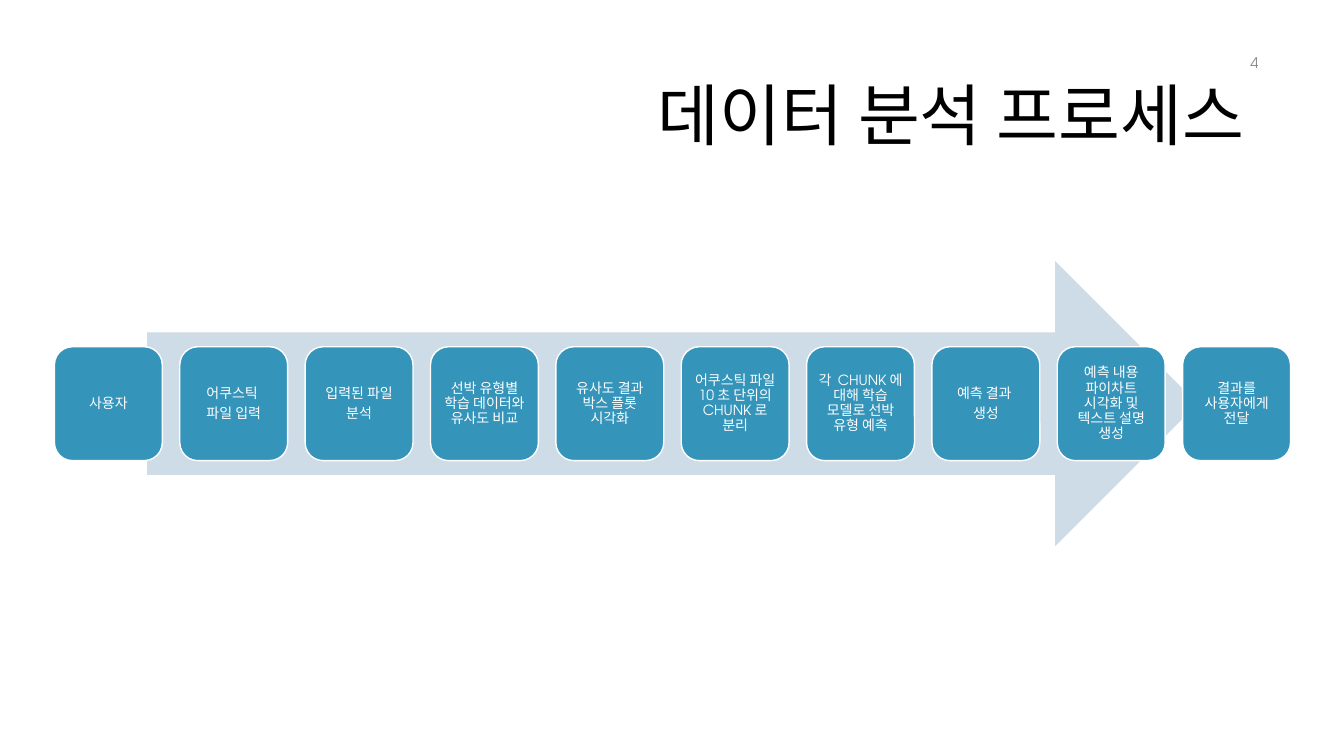
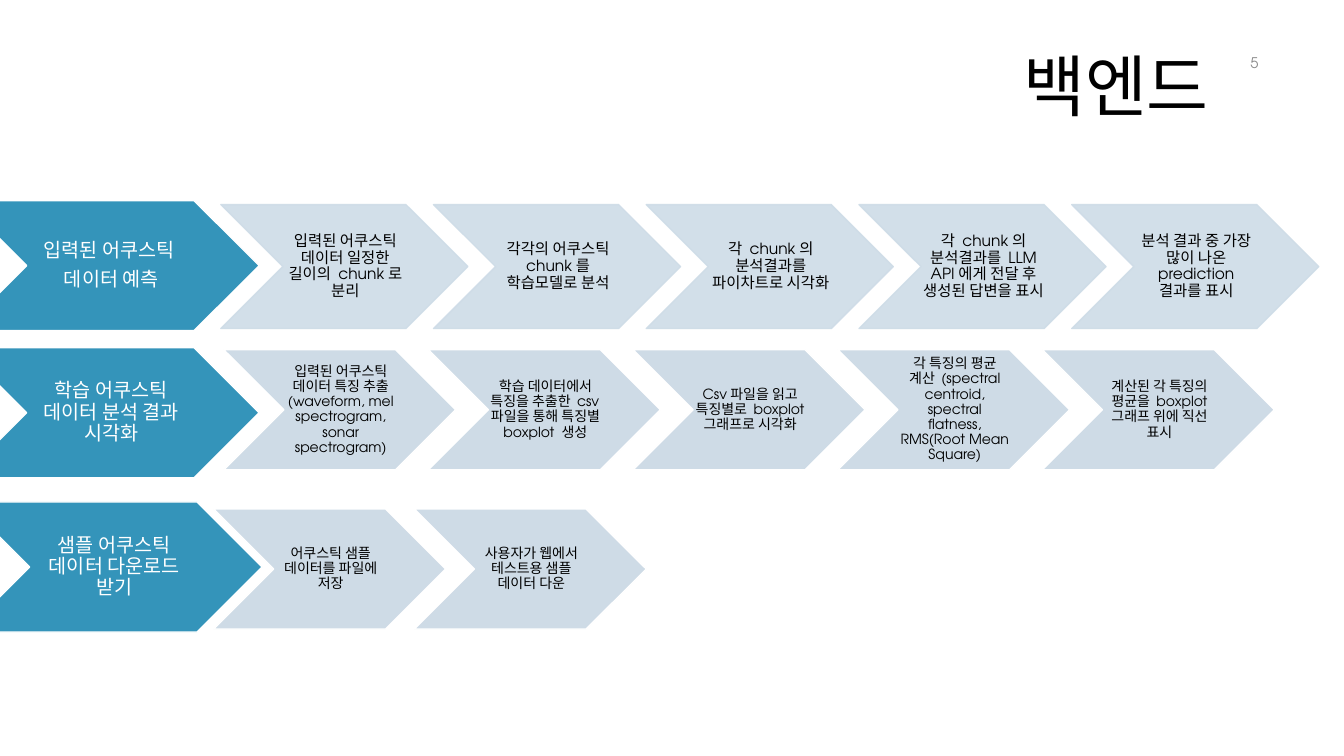
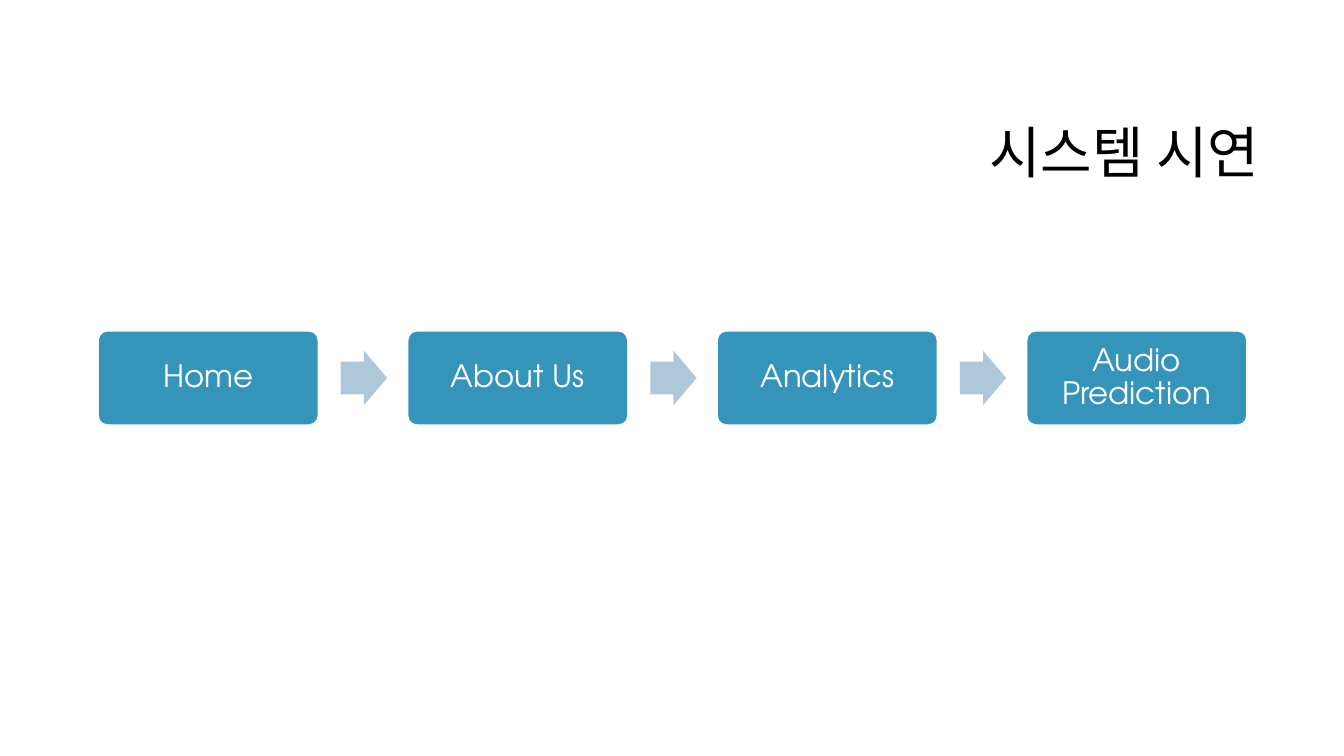
from dataclasses import dataclass

from lxml.etree import SubElement
from pptx import Presentation
from pptx.dml.color import RGBColor
from pptx.enum.shapes import MSO_SHAPE
from pptx.enum.text import MSO_ANCHOR, MSO_AUTO_SIZE, PP_ALIGN
from pptx.oxml.ns import qn
from pptx.util import Inches, Pt


@dataclass(frozen=True)
class Theme:
    font: str = "TeX Gyre Adventor"
    black: str = "000000"
    white: str = "FFFFFF"
    gray: str = "8C8C8C"
    blue: str = "3494BA"
    pale_blue: str = "CEDCE7"
    mist: str = "CEDBE6"
    arrow_blue: str = "AEC8D9"
    title_size: float = 48
    small_title_size: float = 40
    page_size: float = 22
    heading_size: float = 14
    detail_size: float = 11
    step_size: float = 10
    number_size: float = 10.5


class Deck:
    def __init__(self, theme):
        self.theme = theme
        self.presentation = Presentation()
        self.presentation.slide_width = Inches(13.33)
        self.presentation.slide_height = Inches(7.5)
        self.slide = None

    def set_text(self, frame, lines, size, color, align, line_spacing=0.9, gap=0):
        """Fill a text frame; gap is the space after, as a share of the type size."""
        frame.word_wrap = True
        frame.auto_size = MSO_AUTO_SIZE.NONE
        frame.vertical_anchor = MSO_ANCHOR.MIDDLE
        frame.text = "\n".join(lines)
        for paragraph in frame.paragraphs:
            paragraph.alignment = align
            paragraph.line_spacing = line_spacing
            paragraph.space_after = Pt(gap * size)
            paragraph.font.name = self.theme.font
            paragraph.font.size = Pt(size)
            paragraph.font.color.rgb = RGBColor.from_string(color)

    def new_slide(self, title, left=3.17, top=0.47, width=9.42, size=None):
        self.slide = self.presentation.slides.add_slide(self.presentation.slide_layouts[5])
        placeholder = self.slide.shapes.title
        placeholder.left, placeholder.top = Inches(left), Inches(top)
        placeholder.width, placeholder.height = Inches(width), Inches(1.41)
        self.set_text(placeholder.text_frame, [title], size or self.theme.title_size,
                      self.theme.black, PP_ALIGN.RIGHT)

    def page_number(self, number):
        box = self.slide.shapes.add_textbox(Inches(9.58), Inches(0.42), Inches(3), Inches(0.4))
        self.set_text(box.text_frame, [str(number)], self.theme.number_size,
                      self.theme.gray, PP_ALIGN.RIGHT, line_spacing=1)

    def shape(self, kind, left, top, width, height, fill, line=None, line_width=1,
              adjustments=(), alpha=None):
        shape = self.slide.shapes.add_shape(
            kind, Inches(left), Inches(top), Inches(width), Inches(height))
        shape.shadow.inherit = False
        for index, value in enumerate(adjustments):
            shape.adjustments[index] = value
        shape.fill.solid()
        shape.fill.fore_color.rgb = RGBColor.from_string(fill)
        if line:
            shape.line.color.rgb = RGBColor.from_string(line)
            shape.line.width = Pt(line_width)
        else:
            shape.line.fill.background()
        if alpha:
            for color in shape._element.spPr.iter(qn("a:srgbClr")):
                SubElement(color, qn("a:alpha"), val=str(alpha * 1000))
        return shape

    def label(self, shape, lines, size, color, margins):
        """Centre text in a shape; margins are left, top, right, bottom."""
        frame = shape.text_frame
        (frame.margin_left, frame.margin_top,
         frame.margin_right, frame.margin_bottom) = map(Inches, margins)
        self.set_text(frame, lines, size, color, PP_ALIGN.CENTER, gap=0.35)

    def card(self, lines, left, top, width, height, size, margin, line_width=1, adjustments=()):
        shape = self.shape(MSO_SHAPE.ROUNDED_RECTANGLE, left, top, width, height,
                           self.theme.blue, self.theme.white, line_width, adjustments)
        self.label(shape, lines, size, self.theme.white, [margin] * 4)

    def arrow(self, left, top, width, height, fill, adjustments=()):
        self.shape(MSO_SHAPE.RIGHT_ARROW, left, top, width, height, fill,
                   adjustments=adjustments)

    def chevron(self, lines, left, top, width, height, size, color, fill, line, alpha=None):
        shape = self.shape(MSO_SHAPE.CHEVRON, left, top, width, height, fill, line, alpha=alpha)
        self.label(shape, lines, size, color, (0.02, 0.01, 0, 0.01))

    def heading_chevron(self, lines, left, top):
        self.chevron(lines, left, top, 2.95, 1.29, self.theme.heading_size,
                     self.theme.white, self.theme.blue, self.theme.white)

    def chevron_row(self, texts, left, top, pitch, **style):
        for index, text in enumerate(texts):
            self.chevron([text], left + index * pitch, top, color=self.theme.black, **style)


def build_process(deck):
    theme = deck.theme
    deck.new_slide("데이터 분석 프로세스 ")
    deck.page_number(4)
    deck.arrow(1.46, 2.59, 10.42, 2.83, theme.pale_blue)
    steps = [
        ["사용자"],
        ["어쿠스틱 ", "파일 입력"],
        ["입력된 파일", "분석"],
        ["선박 유형별 학습 데이터와 유사도 비교"],
        ["유사도 결과 박스 플롯 시각화"],
        ["어쿠스틱 파일 10초 단위의 CHUNK로 분리"],
        ["각 CHUNK에 대해 학습 모델로 선박 유형 예측"],
        ["예측 결과 ", "생성"],
        ["예측 내용 파이차트 시각화 및 텍스트 설명 생성"],
        ["결과를 사용자에게 전달"],
    ]
    first, last = 0.54, 11.73
    pitch = (last - first) / (len(steps) - 1)
    for index, lines in enumerate(steps):
        deck.card(lines, first + index * pitch, 3.44, 1.07, 1.13, theme.step_size, margin=0.04)


def build_backend(deck):
    theme = deck.theme
    deck.new_slide("백엔드", left=7.96, top=0.19, width=4.13)
    deck.page_number(5)
    prediction = dict(width=2.45, height=1.23, size=theme.detail_size,
                      fill=theme.pale_blue, line=theme.pale_blue, alpha=90)
    detail = dict(width=2.3, height=1.19, size=theme.step_size,
                  fill=theme.mist, line=theme.white)

    deck.heading_chevron(["입력된 어쿠스틱 ", "데이터 예측"], -0.38, 1.99)
    deck.chevron_row([
        "입력된 어쿠스틱 데이터 일정한 길이의 chunk로 분리",
        "각각의 어쿠스틱 chunk를 학습모델로 분석",
        "각 chunk의 분석결과를 파이차트로 시각화",
        "각 chunk의 분석결과를 LLM API에게 전달 후 생성된 답변을 표시",
        "분석 결과 중 가장 많이 나온 prediction 결과를 표시",
    ], 2.19, 2.03, pitch=2.11, **prediction)

    deck.heading_chevron(["학습 어쿠스틱 데이터 분석 결과 시각화"], -0.38, 3.45)
    deck.chevron_row([
        "입력된 어쿠스틱 데이터 특징 추출 (waveform, mel spectrogram, sonar spectrogram)",
        "학습 데이터에서 특징을 추출한 csv파일을 통해 특징별 boxplot 생성",
        "Csv파일을 읽고 특징별로 boxplot 그래프로 시각화",
        "각 특징의 평균 계산 (spectral centroid, spectral flatness, RMS(Root Mean Square)",
        "계산된 각 특징의 평균을 boxplot 그래프 위에 직선 표시",
    ], 2.22, 3.47, pitch=2.03, **detail)

    deck.heading_chevron(["샘플 어쿠스틱 데이터 다운로드 받기"], -0.35, 4.98)
    deck.chevron_row([
        "어쿠스틱 샘플 데이터를 파일에 저장",
        "사용자가 웹에서 테스트용 샘플 데이터 다운",
    ], 2.12, 5.05, pitch=1.99, **detail)


def build_demo(deck):
    theme = deck.theme
    deck.new_slide("시스템 시연", top=0.84, size=theme.small_title_size)
    pages = ["Home", "About Us", "Analytics", "Audio Prediction"]
    first, pitch = 0.97, 3.07
    for index, page in enumerate(pages):
        left = first + index * pitch
        if index:
            deck.arrow(left - 0.66, 3.48, 0.46, 0.54, theme.arrow_blue, (0.6, 0.5))
        deck.card([page], left, 3.28, 2.19, 0.94, theme.page_size, margin=0.09,
                  line_width=1.5, adjustments=(0.1,))


def main():
    deck = Deck(Theme())
    build_process(deck)
    build_backend(deck)
    build_demo(deck)
    deck.presentation.save("out.pptx")


if __name__ == "__main__":
    main()
